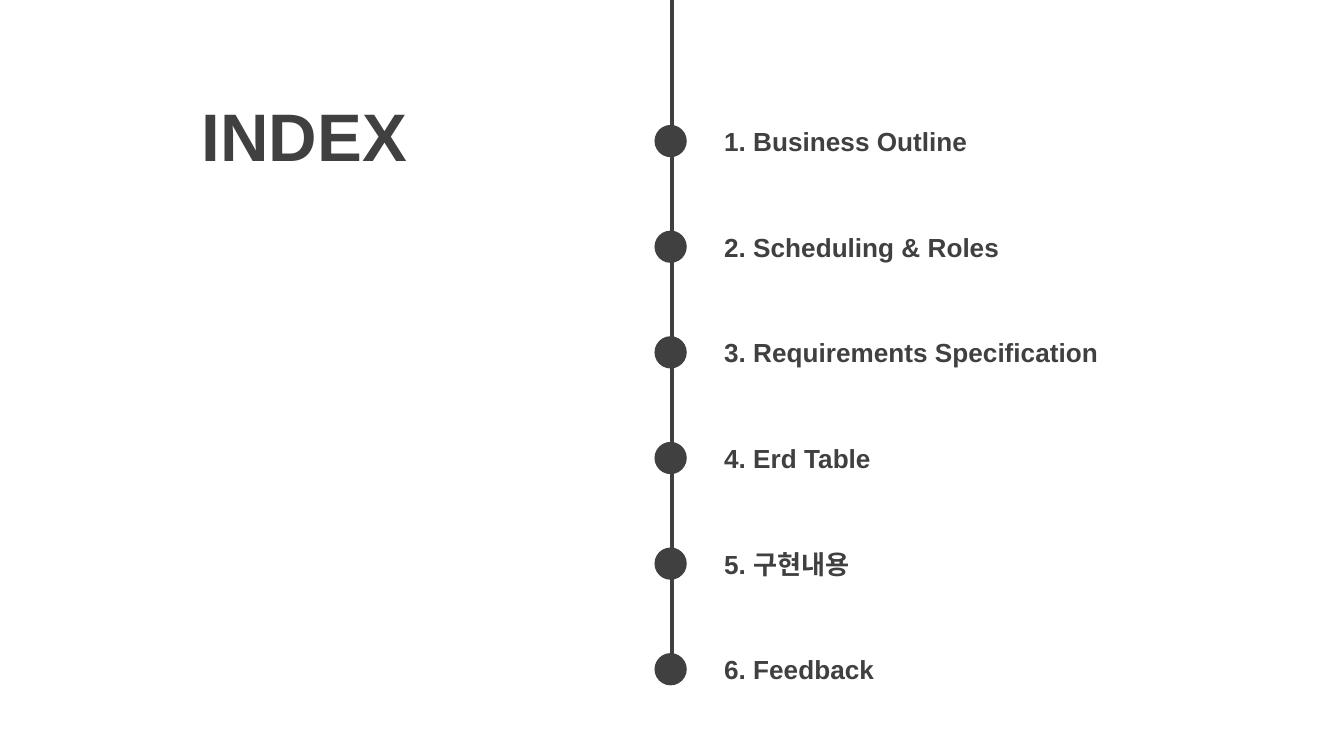
from pptx import Presentation, util as u
from pptx.dml.color import RGBColor
from pptx.enum import shapes, text
from pptx.oxml import xmlchemy as x

WIDTH = 10
HEIGHT = WIDTH * 9 / 16
DARK = "404040"
FONT = "Arial"

TOPICS = [
    "Business Outline",
    "Scheduling & Roles",
    "Requirements Specification",
    "Erd Table",
    "구현내용",
    "Feedback",
]

# Timeline grid: one row per topic
AXIS_X = WIDTH / 2
FIRST_Y, LAST_Y = 1.05, 4.98
ROW = (LAST_Y - FIRST_Y) / (len(TOPICS) - 1)
DOT = 0.24


def color(hex_code):
    return RGBColor.from_string(hex_code)


def inches(*lengths):
    return [u.Inches(n) for n in lengths]


def add_text(s, content, left, center_y, width, height, size, align):
    box = s.shapes.add_textbox(*inches(left, center_y - height / 2, width, height))
    tf = box.text_frame
    tf.word_wrap = True
    tf.vertical_anchor = text.MSO_ANCHOR.MIDDLE
    tf.text = content
    p = tf.paragraphs[0]
    p.alignment = align
    font = p.runs[0].font
    font.name, font.size, font.bold = FONT, u.Pt(size), True
    font.color.rgb = color(DARK)


def add_axis(s, x_pos, bottom):
    line = s.shapes.add_connector(
        shapes.MSO_CONNECTOR.STRAIGHT, *inches(x_pos, 0, x_pos, bottom))
    line.line.color.rgb = color(DARK)
    line.line.width = u.Pt(2)
    # An empty effect list removes the theme shadow
    line._element.spPr.append(x.OxmlElement("a:effectLst"))


def add_dot(s, center_x, center_y):
    dot = s.shapes.add_shape(
        shapes.MSO_SHAPE.FLOWCHART_CONNECTOR,
        *inches(center_x - DOT / 2, center_y - DOT / 2, DOT, DOT))
    dot.shadow.inherit = False
    dot.fill.solid()
    dot.fill.fore_color.rgb = color(DARK)
    dot.line.fill.background()


def main():
    prs = Presentation()
    prs.slide_width, prs.slide_height = inches(WIDTH, HEIGHT)
    s = prs.slides.add_slide(prs.slide_layouts[6])

    # Title
    add_text(s, "INDEX", 0, 1, 4.53, 0.63, 36, text.PP_ALIGN.CENTER)

    # Timeline with its topics
    add_axis(s, AXIS_X, 5.01)
    for i, topic in enumerate(TOPICS):
        y = FIRST_Y + i * ROW
        add_dot(s, AXIS_X - 0.01, y)
        add_text(s, f"{i + 1}. {topic}", AXIS_X + 0.29, y, 3.86, 0.34, 14,
                 text.PP_ALIGN.LEFT)

    prs.save("out.pptx")


if __name__ == "__main__":
    main()
